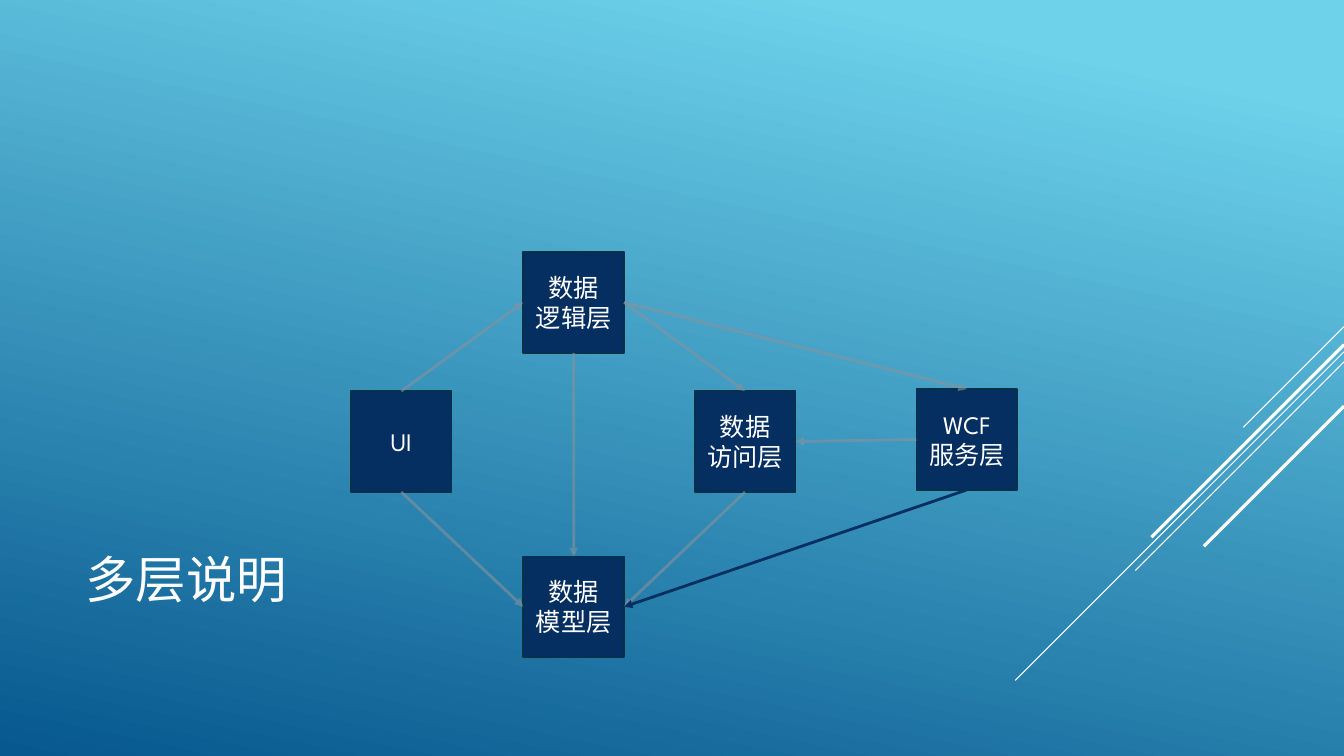
from lxml.etree import SubElement
from pptx import Presentation
from pptx.dml.color import RGBColor
from pptx.enum.shapes import MSO_CONNECTOR as Connector, MSO_SHAPE as Shape
from pptx.enum.text import MSO_ANCHOR as Anchor, PP_ALIGN as Align
from pptx.oxml.ns import qn
from pptx.util import Inches, Pt

FONT = "League Spartan"
WHITE = RGBColor(0xFF, 0xFF, 0xFF)
SKY = RGBColor(0x6E, 0xD2, 0xEB)
DEEP_BLUE = RGBColor(0x06, 0x58, 0x8E)
NAVY = RGBColor(0x05, 0x2F, 0x61)
DARK_NAVY = RGBColor(0x04, 0x31, 0x48)
GREY = RGBColor(0x89, 0x91, 0x9C)

TOP, LEFT, BOTTOM, RIGHT = range(4)
SLIDE_WIDTH = 13.33
LAYER_SIZE = 1

# Start height at the right edge, horizontal run, line width
STRIPES = [
    (3.24, 1.0, 0.75),
    (3.49, 3.26, 0.75),
    (3.59, 2.07, 0.75),
    (3.42, 1.91, 2.25),
    (4.03, 1.39, 2.25),
]

# Lines of text, left, top
LAYERS = {
    "ui": (["UI"], 3.48, 3.88),
    "logic": (["数据", "逻辑层"], 5.19, 2.5),
    "model": (["数据", "模型层"], 5.19, 5.52),
    "access": (["数据", "访问层"], 6.89, 3.88),
    "service": (["WCF", "服务层"], 9.09, 3.86),
}

# Calling layer and side, called layer and side, colour, opacity in percent
CALLS = [
    ("ui", BOTTOM, "model", LEFT, GREY, 60),
    ("ui", TOP, "logic", LEFT, GREY, 60),
    ("logic", BOTTOM, "model", TOP, GREY, 60),
    ("logic", RIGHT, "access", TOP, GREY, 60),
    ("access", BOTTOM, "model", RIGHT, GREY, 60),
    ("service", LEFT, "access", RIGHT, GREY, 60),
    ("service", BOTTOM, "model", RIGHT, NAVY, 100),
    ("logic", RIGHT, "service", TOP, GREY, 60),
]


def paint_background(slide):
    fill = slide.background.fill
    fill.gradient()
    fill.gradient_angle = 258
    for stop, color, position in zip(fill.gradient_stops, (SKY, DEEP_BLUE), (0.1, 1)):
        stop.color.rgb = color
        stop.position = position


def add_line(slide, start, end, color, width):
    """Draw a straight line without a shadow between two points in inches."""
    line = slide.shapes.add_connector(
        Connector.STRAIGHT, *(Inches(value) for value in (*start, *end)))
    line.line.color.rgb = color
    line.line.width = Pt(width)
    SubElement(line._element.spPr, qn("a:effectLst"))
    return line


def add_stripe(slide, top, run, width):
    """Draw a 45-degree stripe down from the right edge of the slide."""
    add_line(slide, (SLIDE_WIDTH, top), (SLIDE_WIDTH - run, top + run), WHITE, width)


def set_font(paragraph, size):
    paragraph.font.name = FONT
    paragraph.font.size = Pt(size)
    paragraph.font.color.rgb = WHITE


def add_title(slide, text):
    title = slide.shapes.add_textbox(
        Inches(0.75), Inches(4.91), Inches(9.33), Inches(1.65))
    frame = title.text_frame
    frame.word_wrap = True
    frame.vertical_anchor = Anchor.MIDDLE
    frame.text = text
    set_font(frame.paragraphs[0], 36)


def add_layer(slide, text_lines, left, top):
    layer = slide.shapes.add_shape(
        Shape.RECTANGLE, Inches(left), Inches(top),
        Inches(LAYER_SIZE), Inches(LAYER_SIZE))
    layer.shadow.inherit = False
    layer.fill.solid()
    layer.fill.fore_color.rgb = NAVY
    layer.line.color.rgb = DARK_NAVY
    layer.line.width = Pt(1.25)
    frame = layer.text_frame
    frame.word_wrap = True
    frame.vertical_anchor = Anchor.MIDDLE
    frame.text = "\n".join(text_lines)
    for paragraph in frame.paragraphs:
        paragraph.alignment = Align.CENTER
        set_font(paragraph, 18)
    return layer


def add_call(slide, caller, caller_side, called, called_side, color, opacity):
    """Join two layers with an arrow that points at the called one."""
    arrow = add_line(slide, (0, 0), (0, 0), color, 2)
    arrow.begin_connect(caller, caller_side)
    arrow.end_connect(called, called_side)
    outline = arrow.line._get_or_add_ln()
    if opacity < 100:
        rgb = outline.find(".//" + qn("a:srgbClr"))
        SubElement(rgb, qn("a:alpha"), val=str(opacity * 1000))
    SubElement(outline, qn("a:tailEnd"), type="triangle")


def main():
    deck = Presentation()
    deck.slide_width = Inches(SLIDE_WIDTH)
    deck.slide_height = Inches(7.5)
    slide = deck.slides.add_slide(deck.slide_layouts[6])

    paint_background(slide)
    for stripe in STRIPES:
        add_stripe(slide, *stripe)
    add_title(slide, "多层说明")
    layers = {name: add_layer(slide, *layer) for name, layer in LAYERS.items()}
    for caller, caller_side, called, called_side, color, opacity in CALLS:
        add_call(slide, layers[caller], caller_side,
                 layers[called], called_side, color, opacity)

    deck.save("out.pptx")


if __name__ == "__main__":
    main()
